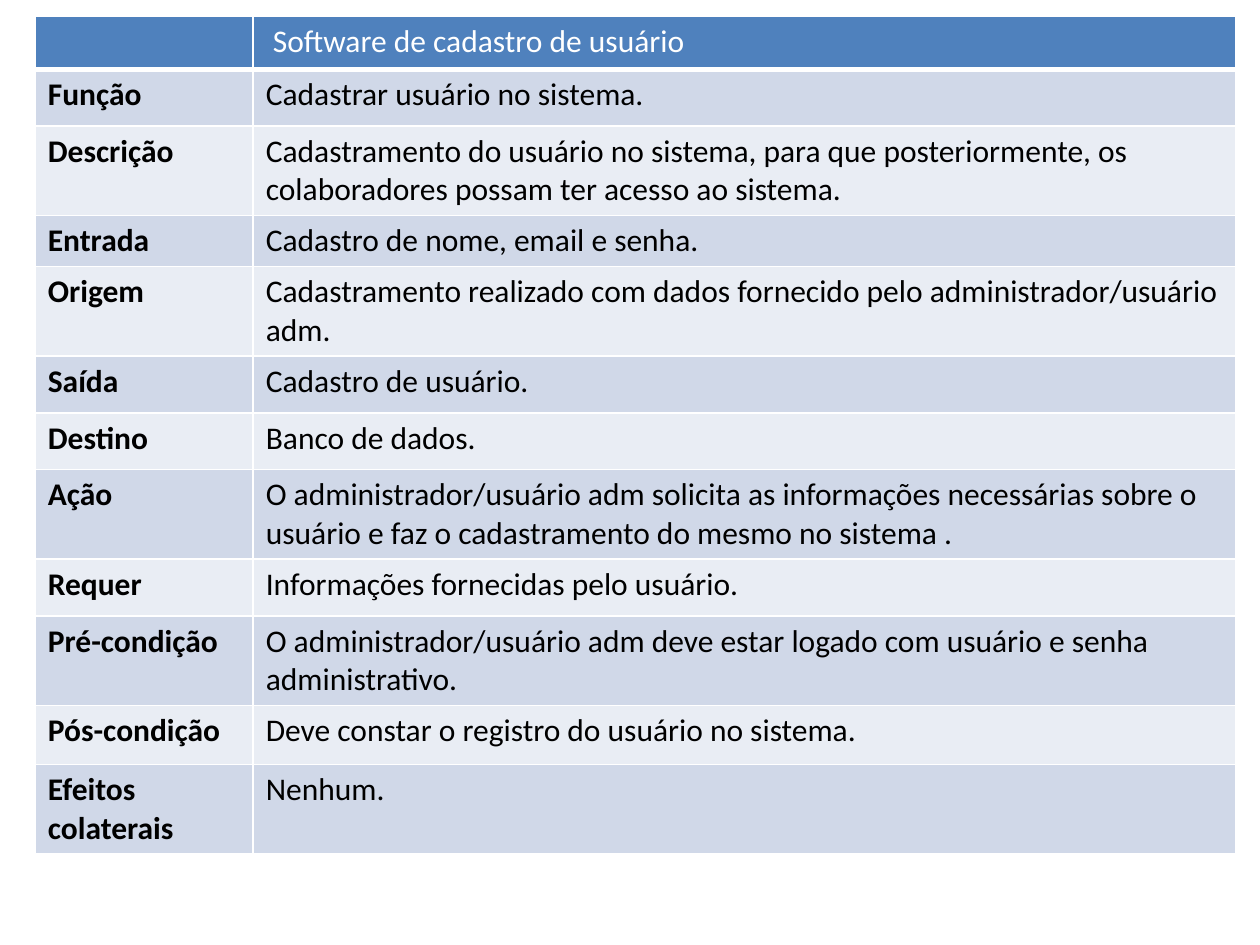
from lxml.etree import SubElement
from pptx import Presentation
from pptx.dml.color import RGBColor as RGB
from pptx.oxml.ns import qn
from pptx.util import Inches, Pt

WHITE = RGB(0xFF, 0xFF, 0xFF)
BLACK = RGB(0x00, 0x00, 0x00)
BLUE = RGB(0x4F, 0x81, 0xBD)
BANDS = RGB(0xE9, 0xED, 0xF4), RGB(0xD0, 0xD8, 0xE8)

COLS = 0.173, 0.78
ROWS = [
    (0.42, "", " Software de cadastro de usuário"),
    (0.45, "Função", "Cadastrar usuário no sistema."),
    (0.63, "Descrição", "Cadastramento do usuário no sistema, para que posteriormente, "
                        "os colaboradores possam ter acesso ao sistema."),
    (0.4, "Entrada", "Cadastro de nome, email e senha."),
    (0.45, "Origem", "Cadastramento realizado com dados fornecido pelo "
                     "administrador/usuário adm."),
    (0.45, "Saída", "Cadastro de usuário."),
    (0.45, "Destino", "Banco de dados."),
    (0.71, "Ação", "O administrador/usuário adm solicita as informações necessárias "
                   "sobre o usuário e faz o cadastramento do mesmo no sistema ."),
    (0.45, "Requer", "Informações fornecidas pelo usuário."),
    (0.4, "Pré-condição", "O administrador/usuário adm deve estar logado com usuário "
                          "e senha administrativo."),
    (0.47, "Pós-condição", "Deve constar o registro do usuário no sistema."),
    (0.7, "Efeitos\ncolaterais", "Nenhum."),
]


class Deck:
    """Holds the style and the current slide, with lengths as shares of its size."""

    def __init__(self, width, height, font="Calibri", size=18):
        self.prs = Presentation()
        self.prs.slide_width, self.prs.slide_height = Inches(width), Inches(height)
        self.font, self.size = font, Pt(size)
        self.s = self.prs.slides.add_slide(self.prs.slide_layouts[6])

    def x(self, share):
        return round(self.prs.slide_width * share)

    def y(self, share):
        return round(self.prs.slide_height * share)

    def borders(self, cell, bottom):
        tc_pr = cell._tc.get_or_add_tcPr()
        for i, side in enumerate("LRTB"):
            width = Pt(bottom if side == "B" else 1)
            ln = tc_pr.makeelement(qn(f"a:ln{side}"), {"w": str(width)})
            fill = SubElement(ln, qn("a:solidFill"))
            SubElement(fill, qn("a:srgbClr"), val=str(WHITE))
            tc_pr.insert(i, ln)

    def cell(self, cell, text, fill, color, bold, bottom):
        cell.fill.solid()
        cell.fill.fore_color.rgb = fill
        self.borders(cell, bottom)
        tf = cell.text_frame
        for i, line in enumerate(text.split("\n")):
            p = tf.add_paragraph() if i else tf.paragraphs[0]
            p.font.size = self.size
            if line:
                r = p.add_run()
                r.text = line
                r.font.name, r.font.size, r.font.bold = self.font, self.size, bold
                r.font.color.rgb = color

    def table(self, left, top, height, cols, rows):
        frame = self.s.shapes.add_table(len(rows), len(cols), self.x(left), self.y(top),
                                        self.x(sum(cols)), self.y(height))
        table = frame.table
        for col, share in zip(table.columns, cols):
            col.width = self.x(share)
        for i, (row_height, *texts) in enumerate(rows):
            table.rows[i].height = Inches(row_height)
            head = i == 0
            for j, text in enumerate(texts):
                self.cell(table.cell(i, j), text,
                          fill=BLUE if head else BANDS[i % 2],
                          color=WHITE if head else BLACK,
                          bold=j == 0 and not head,
                          bottom=3 if head else 1)
        frame.height = self.y(height)


if __name__ == "__main__":
    deck = Deck(10, 7.5)
    deck.table(0.028, 0.13 / 7.5, 0.88, COLS, ROWS)
    deck.prs.save("out.pptx")
